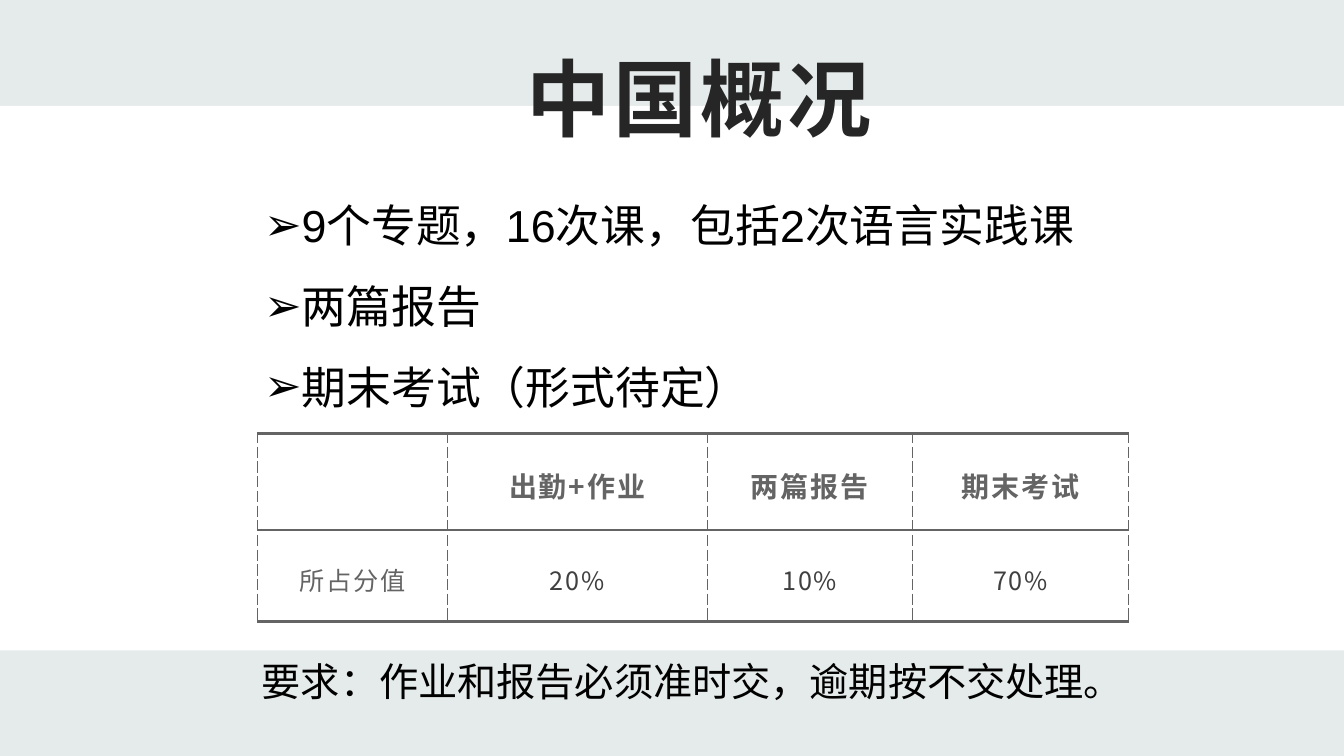
from dataclasses import dataclass

from lxml.etree import SubElement
from pptx import Presentation
from pptx.dml.color import RGBColor
from pptx.enum.shapes import MSO_SHAPE
from pptx.enum.text import MSO_ANCHOR, MSO_AUTO_SIZE, PP_ALIGN
from pptx.oxml.ns import qn
from pptx.util import Cm, Pt

PALE = RGBColor(0xE5, 0xEB, 0xEA)
WHITE = RGBColor(0xFF, 0xFF, 0xFF)
BLACK = RGBColor(0x00, 0x00, 0x00)
INK = RGBColor(0x26, 0x26, 0x26)
GREY = RGBColor(0x64, 0x64, 0x64)
DARK = RGBColor(0x40, 0x40, 0x40)
CHINESE_FONT = "Noto Sans CJK SC"


@dataclass(frozen=True)
class Area:
    left: float
    top: float
    width: float
    height: float

    def lengths(self) -> tuple:
        return Cm(self.left), Cm(self.top), Cm(self.width), Cm(self.height)


@dataclass(frozen=True)
class Border:
    side: str
    width: float
    dash: str = "solid"


@dataclass(frozen=True)
class Row:
    height: float
    texts: tuple
    size: int
    bold: bool
    colors: tuple
    borders: tuple


SIDES = (Border("L", 0.75, "sysDash"), Border("R", 0.75, "sysDash"))
COLUMN_WIDTHS = (4.77, 6.55, 5.17, 5.46)
ROWS = (
    Row(2.21, ("", "出勤+作业", "两篇报告", "期末考试"), 20, True,
        (GREY,) * 4, SIDES + (Border("T", 2.25), Border("B", 1.5))),
    Row(2.11, ("所占分值", "20%", "10%", "70%"), 18, False,
        (GREY, DARK, DARK, DARK), SIDES + (Border("T", 1.5), Border("B", 2.25))),
)
TOPICS = ("9个专题，16次课，包括2次语言实践课", "两篇报告", "期末考试（形式待定）")


def write(para, text: str, *, size: float, color: RGBColor, font: str = "Arial",
          bold: bool = False, spacing: float = 0, align=PP_ALIGN.LEFT,
          line: float = 1.0, bullet: str = "") -> None:
    para.alignment = align
    para.line_spacing = line
    para.space_before = Pt(0)
    if bullet:
        properties = para._p.get_or_add_pPr()
        properties.set("marL", str(Cm(0.8)))
        properties.set("indent", str(-Cm(0.8)))
        SubElement(properties, qn("a:buFont"), typeface="Arial")
        SubElement(properties, qn("a:buChar"), char=bullet)
    span = para.add_run()
    span.text = text
    span.font.size = Pt(size)
    span.font.bold = bold
    span.font.name = font
    span.font.color.rgb = color
    details = span._r.get_or_add_rPr()
    SubElement(details, qn("a:ea"), typeface=CHINESE_FONT)
    if spacing:
        details.set("spc", str(round(spacing * 100)))


def place(shape, area: Area) -> None:
    shape.left, shape.top, shape.width, shape.height = area.lengths()


def draw_border(cell, border: Border) -> None:
    edge = SubElement(cell._tc.get_or_add_tcPr(), qn(f"a:ln{border.side}"),
                      w=str(Pt(border.width)))
    SubElement(SubElement(edge, qn("a:solidFill")), qn("a:srgbClr"), val=str(GREY))
    SubElement(edge, qn("a:prstDash"), val=border.dash)


def draw_band(page) -> None:
    band = page.shapes.add_shape(MSO_SHAPE.RECTANGLE, *Area(0, 2.67, 33.87, 13.72).lengths())
    band.shadow.inherit = False
    band.fill.solid()
    band.fill.fore_color.rgb = WHITE
    band.line.fill.background()
    page.shapes.title.element.addprevious(band.element)


def draw_title(page) -> None:
    title = page.shapes.title
    place(title, Area(6.4, 0, 22.35, 3.81))
    frame = title.text_frame
    frame.auto_size = MSO_AUTO_SIZE.NONE
    frame.vertical_anchor = MSO_ANCHOR.BOTTOM
    frame.margin_left, frame.margin_right = Cm(0.28), Cm(0.2)
    frame.margin_top = frame.margin_bottom = Cm(0.1)
    write(frame.paragraphs[0], "中国概况", size=60, color=INK, bold=True,
          spacing=2, align=PP_ALIGN.CENTER)


def draw_topics(page) -> None:
    body = page.placeholders[1]
    place(body, Area(6.4, 4.19, 22.58, 7.77))
    frame = body.text_frame
    frame.auto_size = MSO_AUTO_SIZE.NONE
    for index, topic in enumerate(TOPICS):
        para = frame.add_paragraph() if index else frame.paragraphs[0]
        write(para, topic, size=32, color=BLACK, line=1.5, bullet="➢")


def draw_scores(page) -> None:
    table = page.shapes.add_table(len(ROWS), len(COLUMN_WIDTHS),
                                  *Area(6.5, 10.92, 21.95, 4.32).lengths()).table
    table.first_row = table.horz_banding = False
    for column, width in zip(table.columns, COLUMN_WIDTHS):
        column.width = Cm(width)
    for table_row, row in zip(table.rows, ROWS):
        table_row.height = Cm(row.height)
        for cell, text, color in zip(table_row.cells, row.texts, row.colors):
            for border in row.borders:
                draw_border(cell, border)
            cell.fill.solid()
            cell.fill.fore_color.rgb = WHITE
            if text:
                cell.vertical_anchor = MSO_ANCHOR.MIDDLE
                cell.margin_left = cell.margin_right = Cm(0.88)
                cell.margin_top = cell.margin_bottom = Cm(0.6)
                write(cell.text_frame.paragraphs[0], text, size=row.size, color=color,
                      font=CHINESE_FONT, bold=row.bold, spacing=1.3,
                      align=PP_ALIGN.CENTER, line=1.2)


def draw_requirement(page) -> None:
    box = page.shapes.add_textbox(*Area(6.35, 16.43, 22.25, 1.45).lengths())
    box.text_frame.word_wrap = False
    write(box.text_frame.paragraphs[0], "要求：作业和报告必须准时交，逾期按不交处理。",
          size=28, color=BLACK)


def main() -> None:
    deck = Presentation()
    deck.slide_width, deck.slide_height = Cm(33.87), Cm(19.05)
    page = deck.slides.add_slide(deck.slide_layouts[1])
    page.background.fill.solid()
    page.background.fill.fore_color.rgb = PALE
    draw_band(page)
    draw_title(page)
    draw_topics(page)
    draw_scores(page)
    draw_requirement(page)
    deck.save("out.pptx")


if __name__ == "__main__":
    main()
